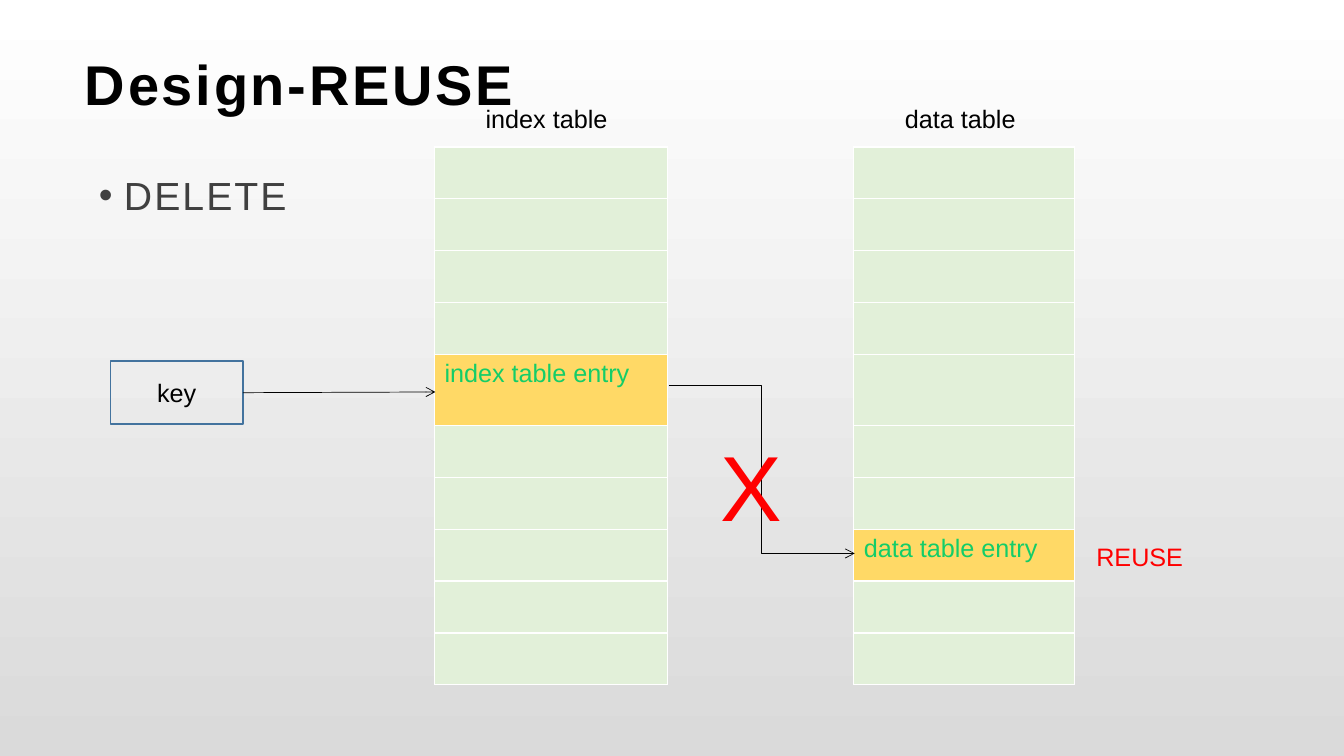
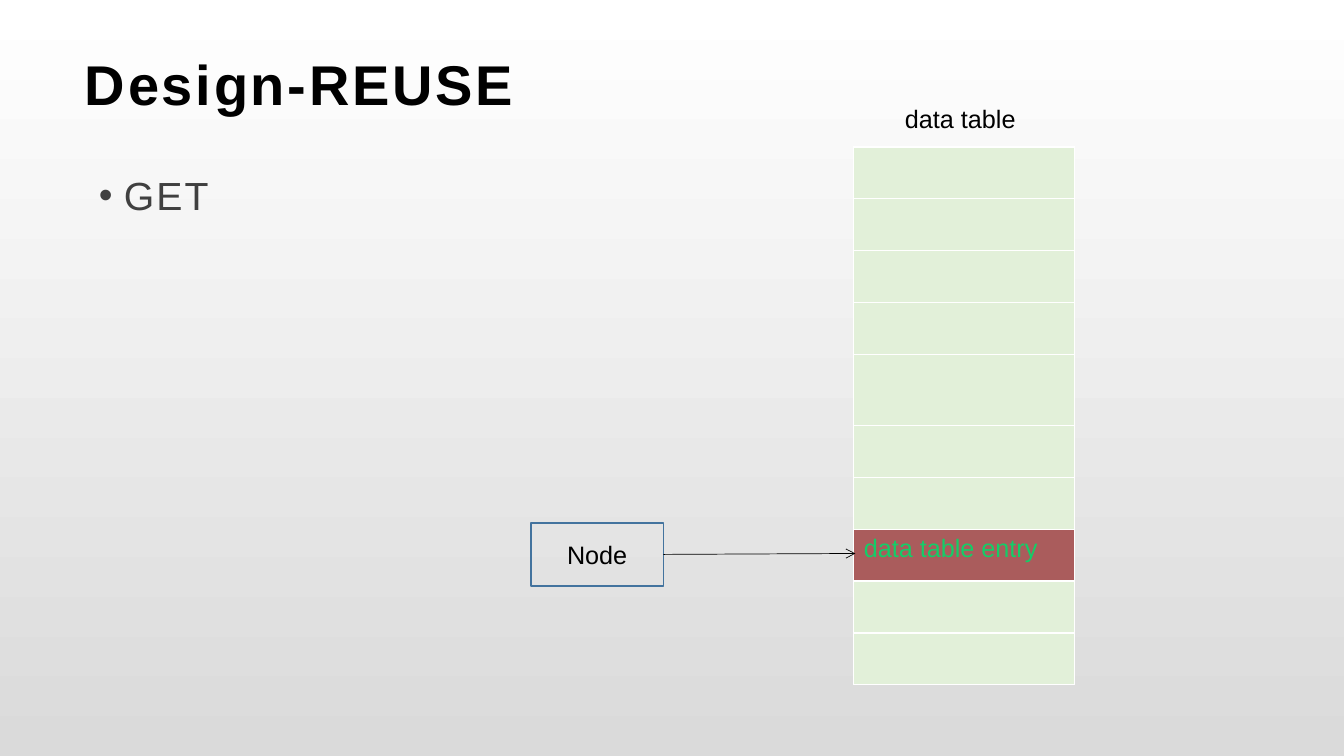
from lxml import etree
from pptx import Presentation
from pptx.dml.color import RGBColor
from pptx.enum import shapes, text
from pptx.oxml.ns import qn
from pptx.util import Pt

BLACK = RGBColor(0x00, 0x00, 0x00)
WHITE = RGBColor(0xFF, 0xFF, 0xFF)
SILVER = RGBColor(0xDA, 0xDA, 0xDA)
GREY = RGBColor(0x40, 0x40, 0x40)
BLUE = RGBColor(0x43, 0x73, 0x9E)
MINT = RGBColor(0xE2, 0xF0, 0xD9)
GREEN = RGBColor(0x14, 0xCD, 0x68)
GOLD = RGBColor(0xFF, 0xD9, 0x66)
ROSE = RGBColor(0xAA, 0x5C, 0x5C)
RED = RGBColor(0xFF, 0x00, 0x00)

FONT = "Arial"
ROWS, TALL = 10, 4
ROW_H, TALL_H = 37.1, 50.5
TOP = 105
INDEX_X, INDEX_W = 310.3, 166.5
DATA_X, DATA_W = 609.8, 157.8
DATA_ROW = 7
KEY_W, KEY_H = 94.5, 45


def style(frame, size, color, bold=False, space=0):
    for para in frame.paragraphs:
        for run in para.runs:
            font = run.font
            font.name, font.size, font.bold = FONT, Pt(size), bold
            font.color.rgb = color
            if space:
                run._r.get_or_add_rPr().set("spc", str(int(space * 100)))


def label(slide, words, x, y, w, h, size=18, color=BLACK):
    frame = slide.shapes.add_textbox(Pt(x), Pt(y), Pt(w), Pt(h)).text_frame
    frame.word_wrap = True
    frame.text = words
    style(frame, size, color)
    return frame


def head(slide):
    title = slide.shapes.title
    title.left, title.top = Pt(52.6), Pt(34)
    title.width, title.height = Pt(854.6), Pt(51)
    frame = title.text_frame
    frame.text = "Design-REUSE"
    frame.auto_size = text.MSO_AUTO_SIZE.NONE
    frame.vertical_anchor = text.MSO_ANCHOR.MIDDLE
    frame.margin_left, frame.margin_right = Pt(8), Pt(6)
    frame.margin_top = frame.margin_bottom = Pt(3)
    frame.paragraphs[0].alignment = text.PP_ALIGN.LEFT
    style(frame, 40, BLACK, bold=True, space=2)


def bullet(slide, words):
    frame = label(slide, words, 62.6, 112.3, 854.6, 396.7)
    style(frame, 28, GREY, space=1.5)
    frame.margin_left, frame.margin_right = Pt(8), Pt(6.5)
    frame.margin_top = frame.margin_bottom = 0
    para = frame.paragraphs[0]
    para.line_spacing, para.space_after = 1.3, Pt(10)
    props = para._p.get_or_add_pPr()
    props.set("marL", str(Pt(18)))
    props.set("indent", str(-Pt(18)))
    etree.SubElement(props, qn("a:buFont")).set("typeface", FONT)
    etree.SubElement(props, qn("a:buChar")).set("char", "•")


def middle(row):
    """Height on the slide of the centre of a table row."""
    above = row * ROW_H + (TALL_H - ROW_H if row > TALL else 0)
    return TOP + above + (TALL_H if row == TALL else ROW_H) / 2


def column(slide, name, x, w, entry, fill):
    """One-column table with its caption and one marked row."""
    total = (ROWS - 1) * ROW_H + TALL_H
    grid = slide.shapes.add_table(ROWS, 1, Pt(x), Pt(TOP), Pt(w), Pt(total)).table
    for i, row in enumerate(grid.rows):
        row.height = Pt(TALL_H if i == TALL else ROW_H)
        cell = row.cells[0]
        cell.fill.solid()
        cell.fill.fore_color.rgb = fill if i == entry else MINT
    cell = grid.cell(entry, 0)
    cell.text_frame.text = name + " entry"
    style(cell.text_frame, 18, GREEN)
    label(slide, name, x + 29.5, TOP - 35, 128, 29)


def box(slide, words, x, y):
    rect = slide.shapes.add_shape(
        shapes.MSO_SHAPE.RECTANGLE, Pt(x), Pt(y), Pt(KEY_W), Pt(KEY_H))
    rect.shadow.inherit = False
    rect.fill.background()
    rect.line.color.rgb, rect.line.width = BLUE, Pt(1)
    frame = rect.text_frame
    frame.text = words
    frame.vertical_anchor = text.MSO_ANCHOR.MIDDLE
    frame.paragraphs[0].alignment = text.PP_ALIGN.CENTER
    style(frame, 18, BLACK)
    return rect


def arrow(slide, kind, x1, y1, x2, y2):
    line = slide.shapes.add_connector(kind, Pt(x1), Pt(y1), Pt(x2), Pt(y2))
    line.line.color.rgb, line.line.width = BLACK, Pt(0.5)
    etree.SubElement(line.line._get_or_add_ln(), qn("a:tailEnd")).set("type", "arrow")
    etree.SubElement(line._element.spPr, qn("a:effectLst"))
    return line


def point(slide, words, x, y, end_x, end_y):
    """Named box with an arrow from its right side."""
    rect = box(slide, words, x, y)
    line = arrow(slide, shapes.MSO_CONNECTOR.STRAIGHT,
                 x + KEY_W, y + KEY_H / 2, end_x, end_y)
    line.begin_connect(rect, 3)


def start(deck, layout, words):
    slide = deck.slides.add_slide(layout)
    head(slide)
    bullet(slide, words)
    return slide


def delete(deck, layout):
    slide = start(deck, layout, "DELETE")
    column(slide, "index table", INDEX_X, INDEX_W, TALL, GOLD)
    column(slide, "data table", DATA_X, DATA_W, DATA_ROW, GOLD)
    point(slide, "key", 79, 258, INDEX_X + 0.7, 280)
    arrow(slide, shapes.MSO_CONNECTOR.ELBOW,
          INDEX_X + INDEX_W + 1, 275.5, DATA_X + 0.7, middle(DATA_ROW) - 1.3)
    label(slide, "X", 507.6, 303, 147.6, 87, 66, RED)
    label(slide, "REUSE", 776, 383, 119, 29, color=RED)


def get(deck, layout):
    slide = start(deck, layout, "GET")
    column(slide, "data table", DATA_X, DATA_W, DATA_ROW, ROSE)
    point(slide, "Node", 379.3, 373.5, DATA_X + 1.2, middle(DATA_ROW) - 1.3)


def main():
    deck = Presentation()
    deck.slide_width, deck.slide_height = Pt(960), Pt(540)
    layout = deck.slide_layouts[5]
    fill = layout.background.fill
    fill.gradient()
    fill.gradient_angle = 270
    for stop, color in zip(fill.gradient_stops, (WHITE, SILVER)):
        stop.color.rgb = color
    delete(deck, layout)
    get(deck, layout)
    deck.save("out.pptx")


if __name__ == "__main__":
    main()
